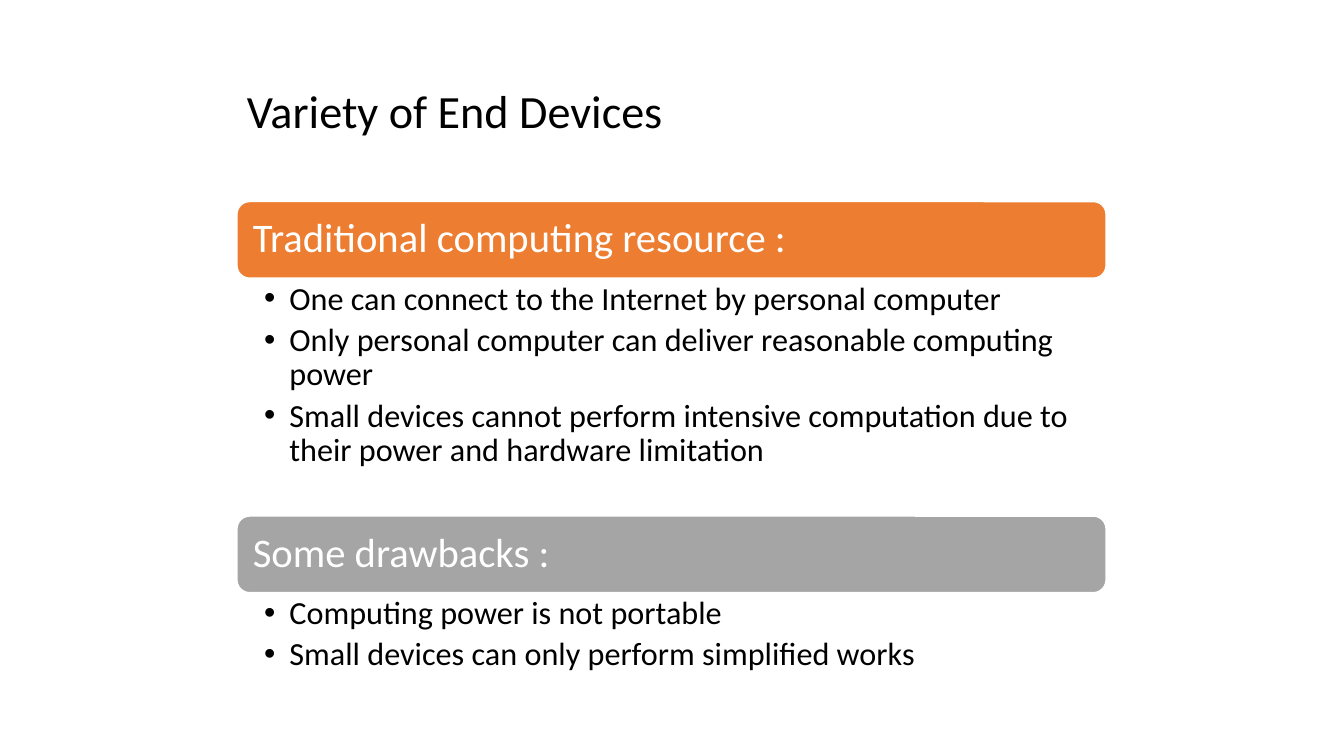
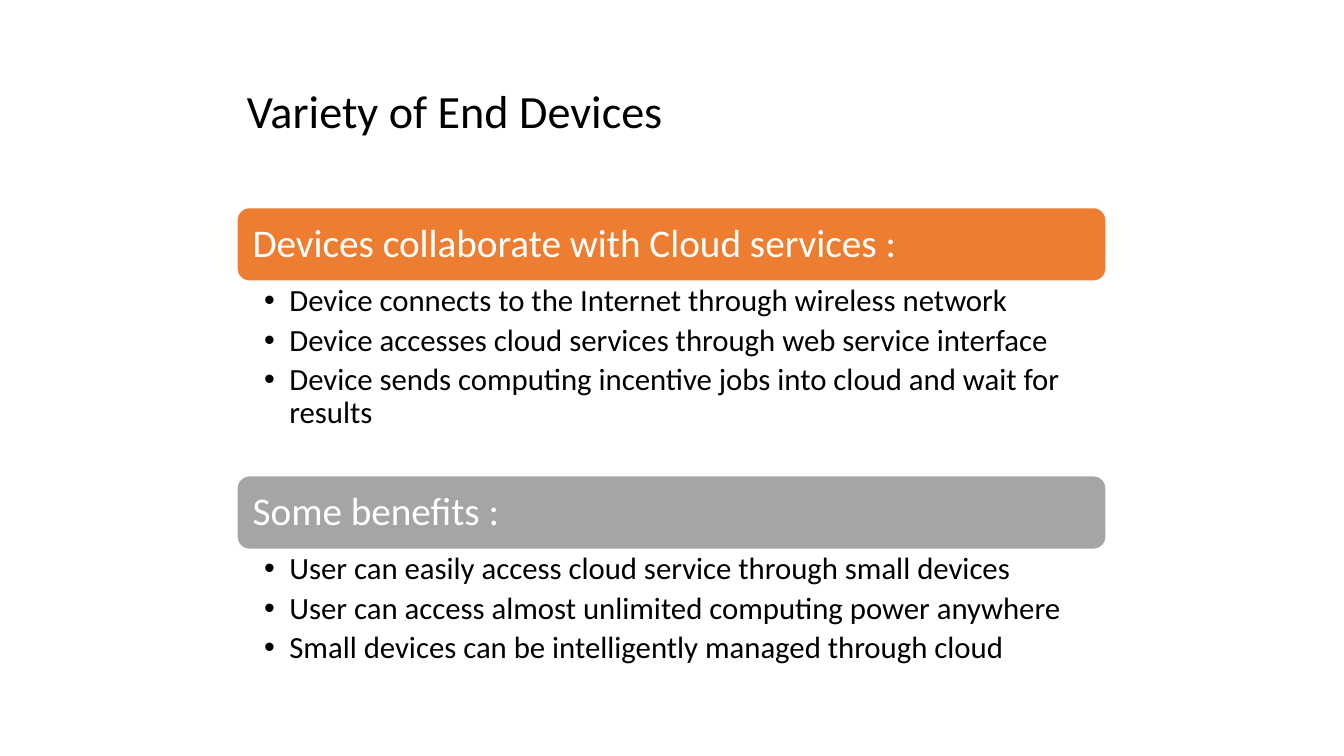
from lxml import etree
from pptx import Presentation
from pptx.dml.color import RGBColor
from pptx.enum.shapes import MSO_SHAPE
from pptx.enum.text import MSO_ANCHOR, PP_ALIGN
from pptx.oxml.ns import qn
from pptx.util import Pt

PX = 9144  # 100 px to the inch
SLIDE_SIZE = (1333, 750)
BLANK_LAYOUT = 6

ORANGE = RGBColor(0xED, 0x7D, 0x31)
GRAY = RGBColor(0xA5, 0xA5, 0xA5)
WHITE = RGBColor(0xFF, 0xFF, 0xFF)
BLACK = RGBColor(0x00, 0x00, 0x00)

ROUNDED = MSO_SHAPE.ROUNDED_RECTANGLE
LEFT = PP_ALIGN.LEFT
TOP = MSO_ANCHOR.TOP
MIDDLE = MSO_ANCHOR.MIDDLE

TITLE = "Variety of End Devices"
SLIDES = [
    dict(
        top=200, heading_height=76, heading_size=29, bullet_size=23,
        sections=[
            ("Traditional computing resource :", ORANGE, 236, [
                "One can connect to the Internet by personal computer",
                "Only personal computer can deliver reasonable computing power",
                "Small devices cannot perform intensive computation due to "
                "their power and hardware limitation",
            ]),
            ("Some drawbacks :", GRAY, 87, [
                "Computing power is not portable",
                "Small devices can only perform simplified works",
            ]),
        ],
    ),
    dict(
        top=206, heading_height=73, heading_size=28, bullet_size=22,
        sections=[
            ("Devices collaborate with Cloud services :", ORANGE, 193, [
                "Device connects to the Internet through wireless network",
                "Device accesses cloud services through web service interface",
                "Device sends computing incentive jobs into cloud and wait for results",
            ]),
            ("Some benefits :", GRAY, 124, [
                "User can easily access cloud service through small devices",
                "User can access almost unlimited computing power anywhere",
                "Small devices can be intelligently managed through cloud",
            ]),
        ],
    ),
]


def add_bullet(paragraph, indent):
    properties = paragraph._p.get_or_add_pPr()
    properties.set("marL", str(indent * PX))
    properties.set("indent", str(-indent * PX))
    etree.SubElement(properties, qn("a:buFont")).set("typeface", "Arial")
    etree.SubElement(properties, qn("a:buChar")).set("char", "•")


def write_text(shape, lines, *, size, color, anchor=MIDDLE,
               insets=(10, 5, 10, 5), bulleted=False):
    """Fill a shape with one paragraph per line; insets are left, top, right, bottom."""
    frame = shape.text_frame
    frame.word_wrap = True
    frame.vertical_anchor = anchor
    (frame.margin_left, frame.margin_top,
     frame.margin_right, frame.margin_bottom) = (inset * PX for inset in insets)
    for index, line in enumerate(lines):
        paragraph = frame.add_paragraph() if index else frame.paragraphs[0]
        paragraph.alignment = LEFT
        paragraph.line_spacing = 0.9
        if bulleted:
            add_bullet(paragraph, 25)
            paragraph.space_after = Pt(size * 0.2)
        run = paragraph.add_run()
        run.text = line
        run.font.name = "Calibri"
        run.font.size = Pt(size)
        run.font.color.rgb = color


class Deck:
    """Holds the shared column, the presentation and the current slide."""

    left, width = 235, 862

    def __init__(self):
        self.presentation = Presentation()
        self.presentation.slide_width, self.presentation.slide_height = (
            length * PX for length in SLIDE_SIZE)
        self.slide = None

    def add_slide(self, title):
        layout = self.presentation.slide_layouts[BLANK_LAYOUT]
        self.slide = self.presentation.slides.add_slide(layout)
        write_text(self.text_box(40, 145), [title], size=33, color=BLACK)

    def column_box(self, top, height):
        return [length * PX for length in (self.left, top, self.width, height)]

    def text_box(self, top, height):
        return self.slide.shapes.add_textbox(*self.column_box(top, height))

    def heading(self, text, top, height, size, fill):
        shape = self.slide.shapes.add_shape(ROUNDED, *self.column_box(top, height))
        shape.shadow.inherit = False
        shape.fill.solid()
        shape.fill.fore_color.rgb = fill
        shape.line.color.rgb = WHITE
        shape.line.width = Pt(1)
        write_text(shape, [text], size=size, color=WHITE, insets=(12, 8, 12, 8))

    def bullets(self, lines, top, height, size):
        write_text(self.text_box(top, height), lines, size=size, color=BLACK,
                   anchor=TOP, insets=(27, 4, 22, 4), bulleted=True)

    def sections(self, sections, top, heading_height, heading_size, bullet_size):
        """Stack headings and their bullet lists without gaps."""
        for heading, fill, body_height, lines in sections:
            self.heading(heading, top, heading_height, heading_size, fill)
            top += heading_height
            self.bullets(lines, top, body_height, bullet_size)
            top += body_height


def main():
    deck = Deck()
    for content in SLIDES:
        deck.add_slide(TITLE)
        deck.sections(**content)
    deck.presentation.save("out.pptx")


if __name__ == "__main__":
    main()
